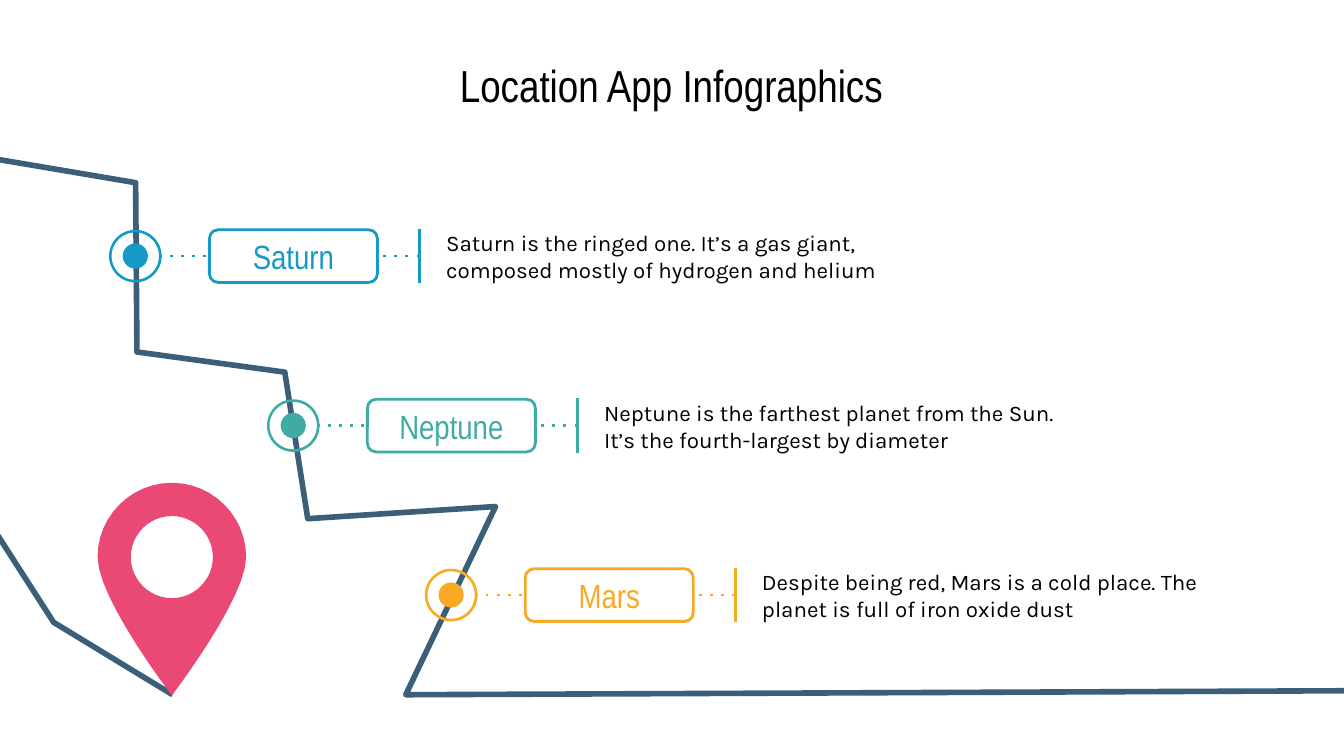
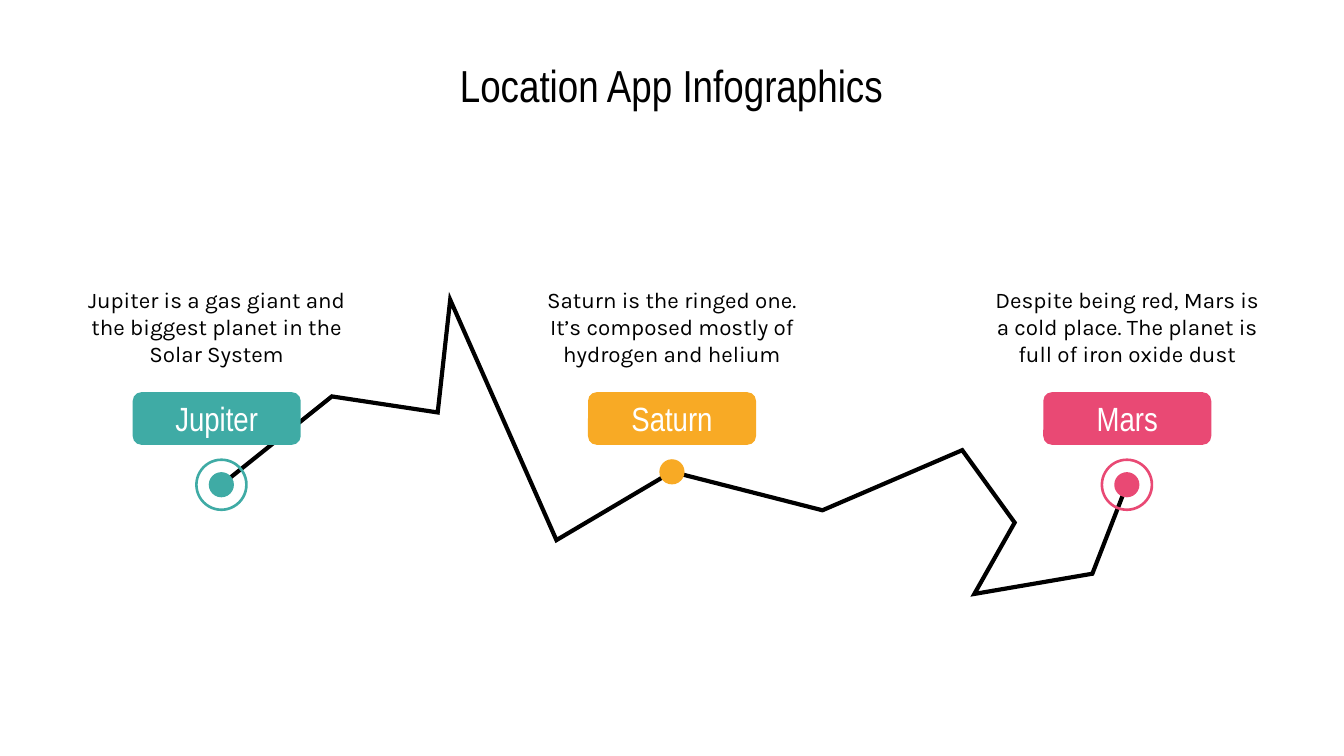
from dataclasses import dataclass

from lxml.etree import SubElement
from pptx import Presentation
from pptx.dml.color import RGBColor as Color
from pptx.enum.shapes import MSO_CONNECTOR as Connector, MSO_SHAPE as Preset
from pptx.enum.text import MSO_ANCHOR as Anchor, PP_ALIGN as Align
from pptx.oxml.ns import qn
from pptx.util import Pt


@dataclass(frozen=True)
class Theme:
    blue: str = "159AC6"
    teal: str = "3FABA5"
    amber: str = "F8AA25"
    pink: str = "E94974"
    slate: str = "3C5F79"
    black: str = "000000"
    white: str = "FFFFFF"
    heading_font: str = "Arial Narrow"
    body_font: str = "Karla"
    title_size: float = 24
    label_size: float = 18
    body_size: float = 12
    thin: float = 1.5
    road: float = 3
    trail: float = 2.25


THEME = Theme()
CARD_WIDTH, CARD_HEIGHT = 90, 28.2
RING_SIZE, DOT_SIZE = 28.2, 13.5
QUARTER = 0.55


def curve(start, first, second, end, steps=12):
    return [tuple((1 - t) ** 3 * a + 3 * (1 - t) ** 2 * t * b
                  + 3 * (1 - t) * t ** 2 * c + t ** 3 * d
                  for a, b, c, d in zip(start, first, second, end))
            for t in (step / steps for step in range(1, steps + 1))]


def arc(center, radius, start, end):
    def place(x, y):
        return center[0] + radius * x, center[1] + radius * y

    (x1, y1), (x2, y2) = start, end
    return curve(place(x1, y1),
                 place(x1 + QUARTER * x2, y1 + QUARTER * y2),
                 place(x2 + QUARTER * x1, y2 + QUARTER * y1),
                 place(x2, y2))


class Painter:
    def __init__(self, deck, theme):
        self.deck, self.theme, self.page = deck, theme, None

    def new_page(self, title):
        self.page = self.deck.slides.add_slide(self.deck.slide_layouts[6])
        self.text(title, 167, 30.2, 385.2, 30.2, Align.CENTER,
                  self.theme.title_size, self.theme.heading_font)

    def fill_text(self, shape, words, align, size, font, color):
        frame = shape.text_frame
        layout = {"word_wrap": True, "vertical_anchor": Anchor.MIDDLE}
        layout.update({f"margin_{side}": Pt(7.2)
                       for side in ("left", "top", "right", "bottom")})
        for name, value in layout.items():
            setattr(frame, name, value)
        para = frame.paragraphs[0]
        para.alignment = align
        span = para.add_run()
        span.text = words
        for name, value in {"name": font, "size": Pt(size)}.items():
            setattr(span.font, name, value)
        span.font.color.rgb = Color.from_string(color)

    def text(self, words, left, top, width, height, align=Align.LEFT,
             size=THEME.body_size, font=THEME.body_font):
        box = self.page.shapes.add_textbox(Pt(left), Pt(top), Pt(width), Pt(height))
        self.fill_text(box, words, align, size, font, self.theme.black)

    def paint(self, shape, fill=None, line=None, weight=THEME.thin):
        shape.shadow.inherit = False
        if fill:
            shape.fill.solid()
            shape.fill.fore_color.rgb = Color.from_string(fill)
        else:
            shape.fill.background()
        if line:
            shape.line.color.rgb = Color.from_string(line)
            shape.line.width = Pt(weight)
        else:
            shape.line.fill.background()

    def stroke_detail(self, shape, tag, **values):
        SubElement(shape._element.spPr.find(qn("a:ln")), qn(tag), **values)

    def centered(self, preset, x, y, width, height, fill, line=None):
        shape = self.page.shapes.add_shape(
            preset, Pt(x - width / 2), Pt(y - height / 2), Pt(width), Pt(height))
        self.paint(shape, fill, line)
        return shape

    def card(self, words, x, y, fill, ink, line=None):
        shape = self.centered(Preset.ROUNDED_RECTANGLE, x, y,
                              CARD_WIDTH, CARD_HEIGHT, fill, line)
        self.fill_text(shape, words, Align.CENTER, self.theme.label_size,
                       self.theme.heading_font, ink)

    def marker(self, x, y, color, ringed=True):
        self.centered(Preset.OVAL, x, y, DOT_SIZE, DOT_SIZE, color)
        if ringed:
            ring = self.centered(Preset.DONUT, x, y, RING_SIZE, RING_SIZE, color)
            ring.adjustments[0] = 0.05

    def line(self, start, end, color, dotted=False):
        line = self.page.shapes.add_connector(
            Connector.STRAIGHT, *(Pt(value) for value in (*start, *end)))
        line.line.color.rgb = Color.from_string(color)
        line.line.width = Pt(self.theme.thin)
        if dotted:
            self.stroke_detail(line, "a:prstDash", val="dot")
        SubElement(line._element.spPr, qn("a:effectLst"))

    def outline(self, *contours, close=False):
        scaled = [[(Pt(x), Pt(y)) for x, y in contour] for contour in contours]
        builder = self.page.shapes.build_freeform(*scaled[0][0], scale=1.0)
        for index, contour in enumerate(scaled):
            if index:
                builder.move_to(*contour[0])
            builder.add_line_segments(contour[1:], close=close)
        return builder.convert_to_shape()

    def route(self, points, color, weight, join, **values):
        shape = self.outline(points)
        self.paint(shape, line=color, weight=weight)
        self.stroke_detail(shape, join, **values)

    def pin(self, x, y, radius, hole, tip):
        north, east, south, west = (0, -1), (1, 0), (0, 1), (-1, 0)
        center, point = (x, y), (x, tip)
        left, right = (x - radius, y), (x + radius, y)
        shoulder = y + 0.3 * (tip - y)
        body = [left]
        body += arc(center, radius, west, north) + arc(center, radius, north, east)
        body += curve(right, (x + radius, shoulder), point, point)
        body += curve(point, point, (x - radius, shoulder), left)
        opening = [(x - hole, y)]
        for start, end in ((west, south), (south, east), (east, north), (north, west)):
            opening += arc(center, hole, start, end)
        self.paint(self.outline(body, opening, close=True), self.theme.pink)


def draw_road(painter):
    theme = painter.theme
    painter.new_page("Location App Infographics")
    roads = (
        [(-3.6, 85), (72.7, 97.9), (73.4, 188.6), (152.6, 199.4),
         (164.9, 277.9), (265.5, 271.4), (217.4, 372.2), (721.4, 370.1)],
        [(92.5, 372.2), (28.8, 333.4), (-3.6, 283)],
    )
    for road in roads:
        painter.route(road, theme.slate, theme.road, "a:round")
    painter.pin(92.1, 298.5, 39.8, 22, 372.6)
    stops = (
        ("Saturn", theme.blue,
         "Saturn is the ringed one. It’s a gas giant, composed mostly of hydrogen and helium"),
        ("Neptune", theme.teal,
         "Neptune is the farthest planet from the Sun. It’s the fourth-largest by diameter"),
        ("Mars", theme.amber,
         "Despite being red, Mars is a cold place. The planet is full of iron oxide dust"),
    )
    for index, (planet, color, fact) in enumerate(stops):
        x, y = 72.5 + 84.6 * index, 137.2 + 90.8 * index
        bar = x + 152.2
        painter.line((bar, y), (x + 13.8, y), color, dotted=True)
        painter.marker(x, y, color)
        painter.line((bar, y - 14.6), (bar, y + 14.6), color)
        painter.card(planet, x + 84.7, y, theme.white, color, color)
        painter.text(fact, bar + 7.2, y - 17, 270, 34)


def draw_trail(painter):
    theme = painter.theme
    painter.new_page("Location App Infographics")
    trail = [(118.6, 259.7), (177.8, 212.4), (234.5, 221), (241.2, 160.6),
             (298.1, 289.4), (360, 252.8), (440.6, 273.4), (515.5, 241.2),
             (543.6, 280), (522, 318.2), (585.2, 307.4), (603.7, 259.7)]
    painter.route(trail, theme.black, theme.trail, "a:miter", lim="800000")
    stops = (
        ("Jupiter", theme.teal, trail[0], True,
         "Jupiter is a gas giant and the biggest planet in the Solar System"),
        ("Saturn", theme.amber, trail[5], False,
         "Saturn is the ringed one. It’s composed mostly of hydrogen and helium"),
        ("Mars", theme.pink, trail[-1], True,
         "Despite being red, Mars is a cold place. The planet is full of iron oxide dust"),
    )
    for index, (planet, color, place, ringed, fact) in enumerate(stops):
        x = 116.1 + 243.9 * index
        painter.marker(*place, color, ringed)
        painter.card(planet, x, 224.2, color, theme.white)
        painter.text(fact, x - 79.6, 144.7, 159.2, 60.5, Align.CENTER)


def main():
    deck = Presentation()
    deck.slide_width, deck.slide_height = Pt(720), Pt(405)
    painter = Painter(deck, THEME)
    draw_road(painter)
    draw_trail(painter)
    deck.save("out.pptx")


if __name__ == "__main__":
    main()
